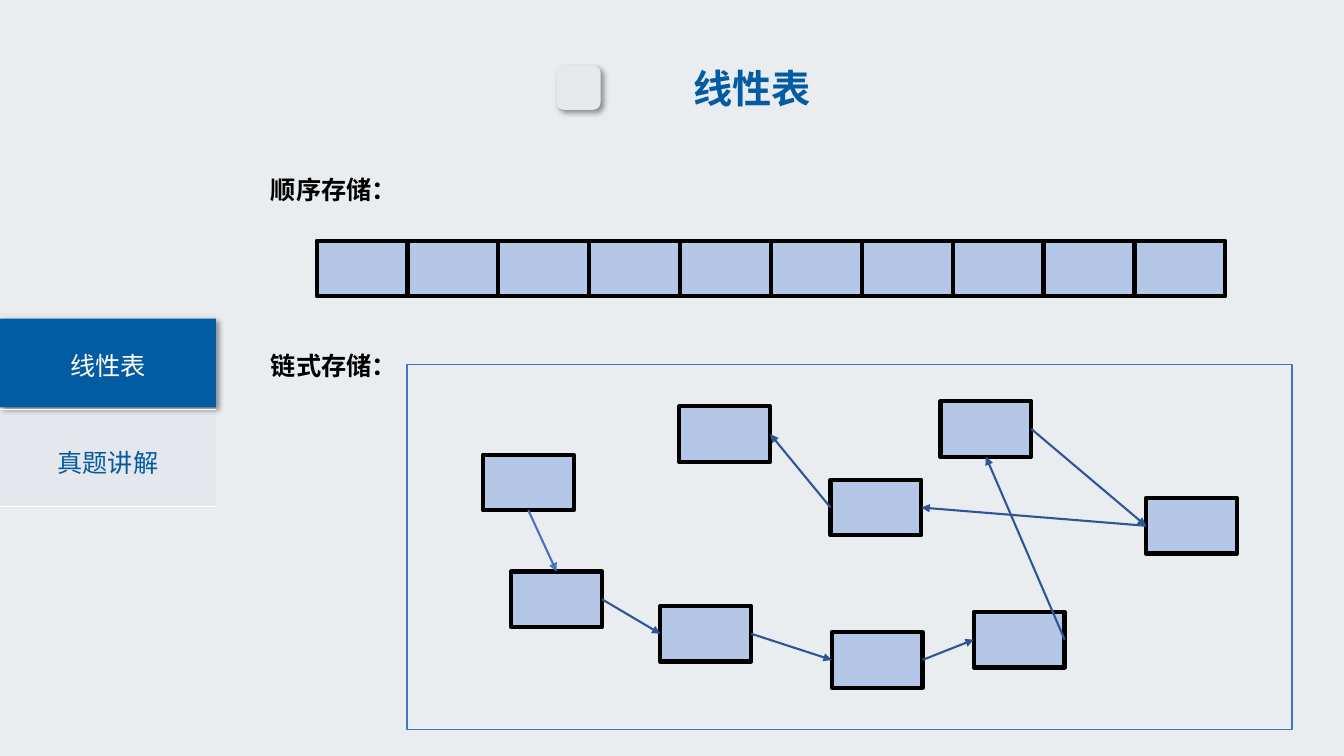
from lxml import etree
from pptx import Presentation
from pptx.dml.color import RGBColor
from pptx.enum import shapes, text
from pptx.oxml.ns import qn
from pptx.util import Cm, Pt

FONT = "Noto Sans CJK SC"
BLUE, CELL_FILL, BLACK, WHITE = "035BA2", "B4C7E7", "000000", "FFFFFF"
CELL_WIDTH, CELL_HEIGHT = 2.29, 1.4
TOP, LEFT, BOTTOM, RIGHT = range(4)  # connection sites of a rectangle


def colour(code):
    return RGBColor.from_string(code)


def write(shape, words, size, code, bold=False, align=text.PP_ALIGN.LEFT):
    frame = shape.text_frame
    frame.word_wrap = True
    frame.vertical_anchor = text.MSO_ANCHOR.MIDDLE
    para = frame.paragraphs[0]
    para.text = words
    para.alignment = align
    font = para.font
    font.name, font.size, font.bold = FONT, Pt(size), bold
    font.color.rgb = colour(code)
    properties = para._p.pPr.find(qn("a:defRPr"))
    etree.SubElement(properties, qn("a:ea"), typeface=FONT)


def add_text(page, left, top, width, words, code, **style):
    box = page.shapes.add_textbox(Cm(left), Cm(top), Cm(width), Cm(1.02))
    write(box, words, 18, code, **style)


def add_box(page, left, top, width, height, fill=None, line=None, weight=1,
            kind=shapes.MSO_SHAPE.RECTANGLE):
    box = page.shapes.add_shape(kind, Cm(left), Cm(top), Cm(width), Cm(height))
    box.shadow.inherit = False
    if fill:
        box.fill.solid()
        box.fill.fore_color.rgb = colour(fill)
    else:
        box.fill.background()
    if line:
        box.line.color.rgb = colour(line)
        box.line.width = Pt(weight)
    else:
        box.line.fill.background()
    return box


def add_cell(page, left, top):
    return add_box(page, left, top, CELL_WIDTH, CELL_HEIGHT, CELL_FILL, BLACK, 3)


def drop_shadow(shape):
    """Cast a soft shadow towards the lower right."""
    effects = shape._element.spPr.find(qn("a:effectLst"))
    shadow = etree.SubElement(effects, qn("a:outerShdw"), blurRad=str(Pt(4)),
                              dist=str(Pt(3)), dir="2700000", algn="tl",
                              rotWithShape="0")
    tint = etree.SubElement(shadow, qn("a:srgbClr"), val=BLACK)
    etree.SubElement(tint, qn("a:alpha"), val="40000")


def add_line(page, start, end, code, weight):
    line = page.shapes.add_connector(
        shapes.MSO_CONNECTOR.STRAIGHT, *map(Cm, start), *map(Cm, end))
    line.line.color.rgb = colour(code)
    line.line.width = Pt(weight)
    etree.SubElement(line._element.spPr, qn("a:effectLst"))
    return line


def link(page, source, source_site, target, target_site, code):
    arrow = add_line(page, (0, 0), (0, 0), code, 1.5)
    arrow.begin_connect(source, source_site)
    arrow.end_connect(target, target_site)
    etree.SubElement(arrow.line._get_or_add_ln(), qn("a:tailEnd"), type="triangle")


def add_heading(page, left, top):
    icon = add_box(page, left, top + 0.15, 1.12, 1.12, "E7E8EC",
                   kind=shapes.MSO_SHAPE.ROUNDED_RECTANGLE)
    icon.adjustments[0] = 0.18
    drop_shadow(icon)
    title = page.shapes.title
    title.left, title.top = Cm(left + 0.28), Cm(top)
    title.width, title.height = Cm(9.3), Cm(1.45)
    write(title, "线性表", 28, BLUE, True, text.PP_ALIGN.CENTER)


def add_menu(page, left, top, width):
    pitch = 2.45
    add_box(page, left, top, width, 2 * pitch, "E4E7EC")
    drop_shadow(add_box(page, left, top + 0.13, width, 2.24, BLUE))
    for row, (words, code) in enumerate([("线性表", WHITE), ("真题讲解", BLUE)]):
        row_top = top + row * pitch
        add_text(page, left, row_top + 0.79, width, words, code,
                 align=text.PP_ALIGN.CENTER)
        rule = row_top + pitch - 0.03
        add_line(page, (left + width, rule), (left, rule), WHITE, 0.5)


def add_sequential_storage(page, left, top):
    add_text(page, left, top, 4.29, "顺序存储：", BLACK, bold=True)
    for index in range(10):
        add_cell(page, left + 1.4 + index * CELL_WIDTH, top + 1.8)


def add_linked_storage(page, left, top):
    add_text(page, left, top, 4.29, "链式存储：", BLACK, bold=True)
    frame_left, frame_top = left + 3.68, top + 0.5
    # Offsets within the frame, in list order
    offsets = [(1.91, 2.27), (2.62, 5.21), (6.38, 6.08), (10.7, 6.74), (14.28, 6.23),
               (13.44, 0.92), (18.62, 3.36), (10.67, 2.9), (6.86, 1.05)]
    nodes = [add_cell(page, frame_left + x, frame_top + y) for x, y in offsets]
    add_box(page, frame_left, frame_top, 22.3, 9.19, line="4472C4")
    sites = [(BOTTOM, TOP), (RIGHT, LEFT), (RIGHT, LEFT), (RIGHT, LEFT),
             (RIGHT, BOTTOM), (RIGHT, LEFT), (LEFT, RIGHT), (LEFT, RIGHT)]
    for index, (leave, enter) in enumerate(sites):
        code = "2F5597" if index else "4472C4"
        link(page, nodes[index], leave, nodes[index + 1], enter, code)


def main():
    deck = Presentation()
    deck.slide_width, deck.slide_height = Cm(33.87), Cm(19.05)
    page = deck.slides.add_slide(deck.slide_layouts.get_by_name("Title Only"))
    page.background.fill.solid()
    page.background.fill.fore_color.rgb = colour("EAEDF0")
    add_heading(page, 14.02, 1.5)
    add_menu(page, 0, 7.9, 5.44)
    add_sequential_storage(page, 6.58, 4.27)
    add_linked_storage(page, 6.58, 8.69)
    deck.save("out.pptx")


if __name__ == "__main__":
    main()
